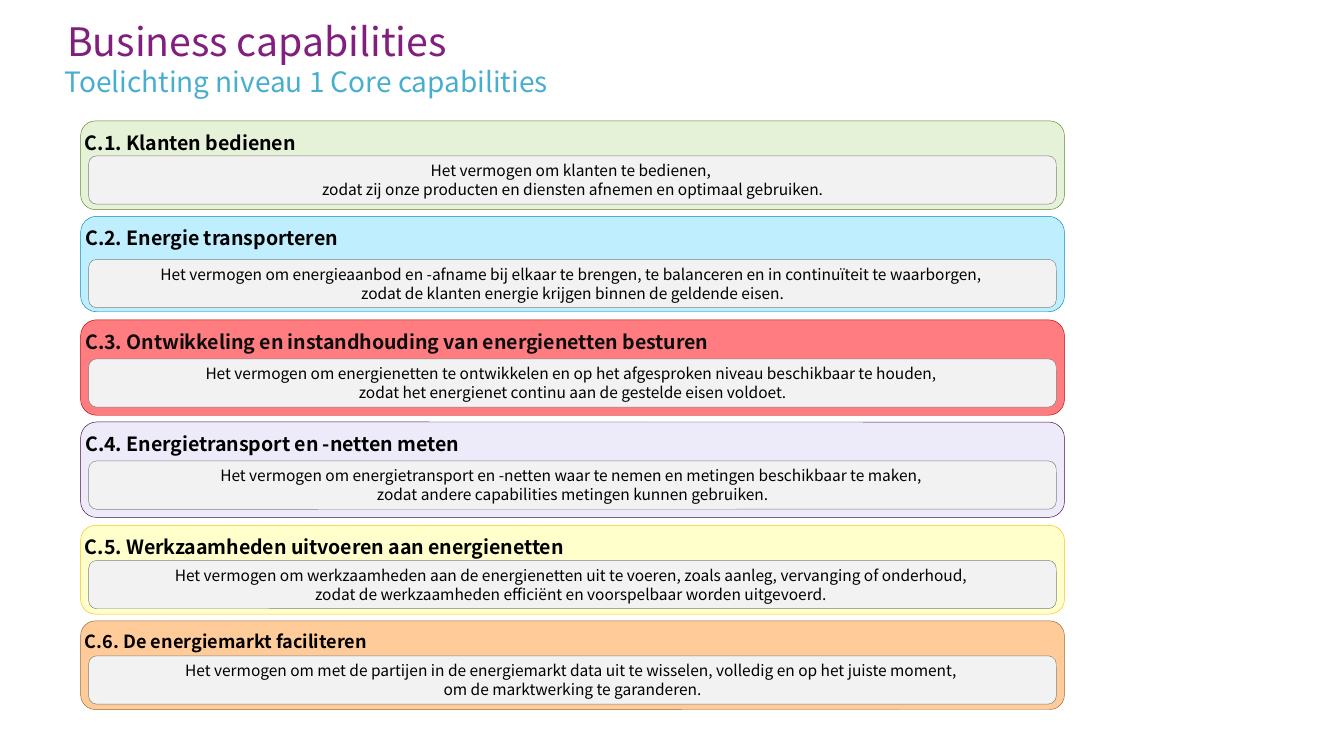
from pptx import Presentation
from pptx.dml.color import RGBColor
from pptx.enum import shapes, text
from pptx.util import Inches, Pt

FONT = "Noto Sans CJK TC"
BLACK = RGBColor(0x00, 0x00, 0x00)
NEAR_BLACK = RGBColor(0x0D, 0x0D, 0x0D)
PANEL = RGBColor(0xF2, 0xF2, 0xF2)
GREY = RGBColor(0x80, 0x80, 0x80)
PURPLE = RGBColor(0x82, 0x1E, 0x7D)
BLUE = RGBColor(0x48, 0xAE, 0xD0)
LIGHT_GREEN, GREEN = RGBColor(0xE5, 0xF2, 0xD7), RGBColor(0x5E, 0x87, 0x2D)
LIGHT_CYAN, CYAN = RGBColor(0xBF, 0xEE, 0xFF), RGBColor(0x00, 0x8C, 0xBE)
LIGHT_RED, RED = RGBColor(0xFF, 0x7C, 0x80), RGBColor(0xC0, 0x00, 0x00)
LILAC, PLUM = RGBColor(0xED, 0xEB, 0xF9), RGBColor(0x41, 0x0F, 0x3E)
LIGHT_YELLOW, YELLOW = RGBColor(0xFF, 0xFF, 0xCC), RGBColor(0xFF, 0xC0, 0x00)
LIGHT_ORANGE, BROWN = RGBColor(0xFF, 0xCC, 0x99), RGBColor(0x99, 0x66, 0x33)

prs = Presentation()
prs.slide_width = Inches(10)
prs.slide_height = Inches(10) * 9 // 16
s = prs.slides.add_slide(prs.slide_layouts[6])


def write(sp, lines, size, color, frame, para, bold=False):
    tf = sp.text_frame
    for name, value in frame.items():
        setattr(tf, name, value)
    for i, line in enumerate(lines):
        p = tf.paragraphs[0] if i == 0 else tf.add_paragraph()
        for name, value in para.items():
            setattr(p, name, value)
        r = p.add_run()
        r.text = line
        for name, value in {"name": FONT, "size": Pt(size), "bold": bold}.items():
            setattr(r.font, name, value)
        r.font.color.rgb = color


def rounded(left, top, width, height, fill, line):
    sp = s.shapes.add_shape(shapes.MSO_SHAPE.ROUNDED_RECTANGLE, Inches(left),
                            Inches(top), Inches(width), Inches(height))
    sp.shadow.inherit = False
    sp.fill.solid()
    sp.fill.fore_color.rgb = fill
    sp.line.color.rgb = line
    sp.line.width = Pt(0.25)
    return sp


HEAD = {"margin_left": 0, "margin_right": 0, "margin_top": Inches(0.04),
        "margin_bottom": Inches(0.04), "word_wrap": True,
        "vertical_anchor": text.MSO_ANCHOR.TOP}
BODY = {"word_wrap": True, "vertical_anchor": text.MSO_ANCHOR.MIDDLE}
PLAIN = {**HEAD, "margin_top": 0, "margin_bottom": 0}
LEFT = {"alignment": text.PP_ALIGN.LEFT}
CENTER = {"alignment": text.PP_ALIGN.CENTER}

capabilities = [
    ("C.1. Klanten bedienen", 10.5, BLACK, LIGHT_GREEN, GREEN, 0.9, 0.66, 0.26,
     ["Het vermogen om klanten te bedienen, ",
      "zodat zij onze producten en diensten afnemen en optimaal gebruiken."]),
    ("C.2. Energie transporteren", 10.5, BLACK, LIGHT_CYAN, CYAN, 1.61, 0.71, 0.32,
     ["Het vermogen om energieaanbod en -afname bij elkaar te brengen, te balanceren en in continuïteit te waarborgen, ",
      "zodat de klanten energie krijgen binnen de geldende eisen."]),
    ("C.3. Ontwikkeling en instandhouding van energienetten besturen", 10.5, NEAR_BLACK,
     LIGHT_RED, RED, 2.38, 0.71, 0.29,
     ["Het vermogen om energienetten te ontwikkelen en op het afgesproken niveau beschikbaar te houden, ",
      "zodat het energienet continu aan de gestelde eisen voldoet."]),
    ("C.4. Energietransport en -netten meten", 10.5, BLACK, LILAC, PLUM, 3.14, 0.71, 0.29,
     ["Het vermogen om energietransport en -netten waar te nemen en metingen beschikbaar te maken, ",
      "zodat andere capabilities metingen kunnen gebruiken."]),
    ("C.5. Werkzaamheden uitvoeren aan energienetten", 10.5, BLACK,
     LIGHT_YELLOW, YELLOW, 3.91, 0.66, 0.26,
     ["Het vermogen om werkzaamheden aan de energienetten uit te voeren, zoals aanleg, vervanging of onderhoud, ",
      "zodat de werkzaamheden efficiënt en voorspelbaar worden uitgevoerd. "]),
    ("C.6. De energiemarkt faciliteren", 9.7, BLACK, LIGHT_ORANGE, BROWN, 4.62, 0.66, 0.26,
     ["Het vermogen om met de partijen in de energiemarkt data uit te wisselen, volledig en op het juiste moment, ",
      "om de marktwerking te garanderen."]),
]

for title, size, color, fill, line, top, height, offset, lines in capabilities:
    sp = rounded(0.6, top, 7.32, height, fill, line)
    write(sp, [title], size, color, HEAD, LEFT, bold=True)
    sp = rounded(0.66, top + offset, 7.2, 0.36, PANEL, GREY)
    write(sp, lines, 8.3, BLACK, BODY, CENTER)

headings = [
    ("Business capabilities", 21, PURPLE, (0.5, 0.09, 7.28, 0.39), Pt(28)),
    ("Toelichting niveau 1 Core capabilities", 15, BLUE, (0.48, 0.43, 7.55, 0.22), 1.2),
]
for title, size, color, box, spacing in headings:
    sp = s.shapes.add_textbox(*[Inches(v) for v in box])
    write(sp, [title], size, color, PLAIN, {**LEFT, "line_spacing": spacing})

prs.save("out.pptx")
